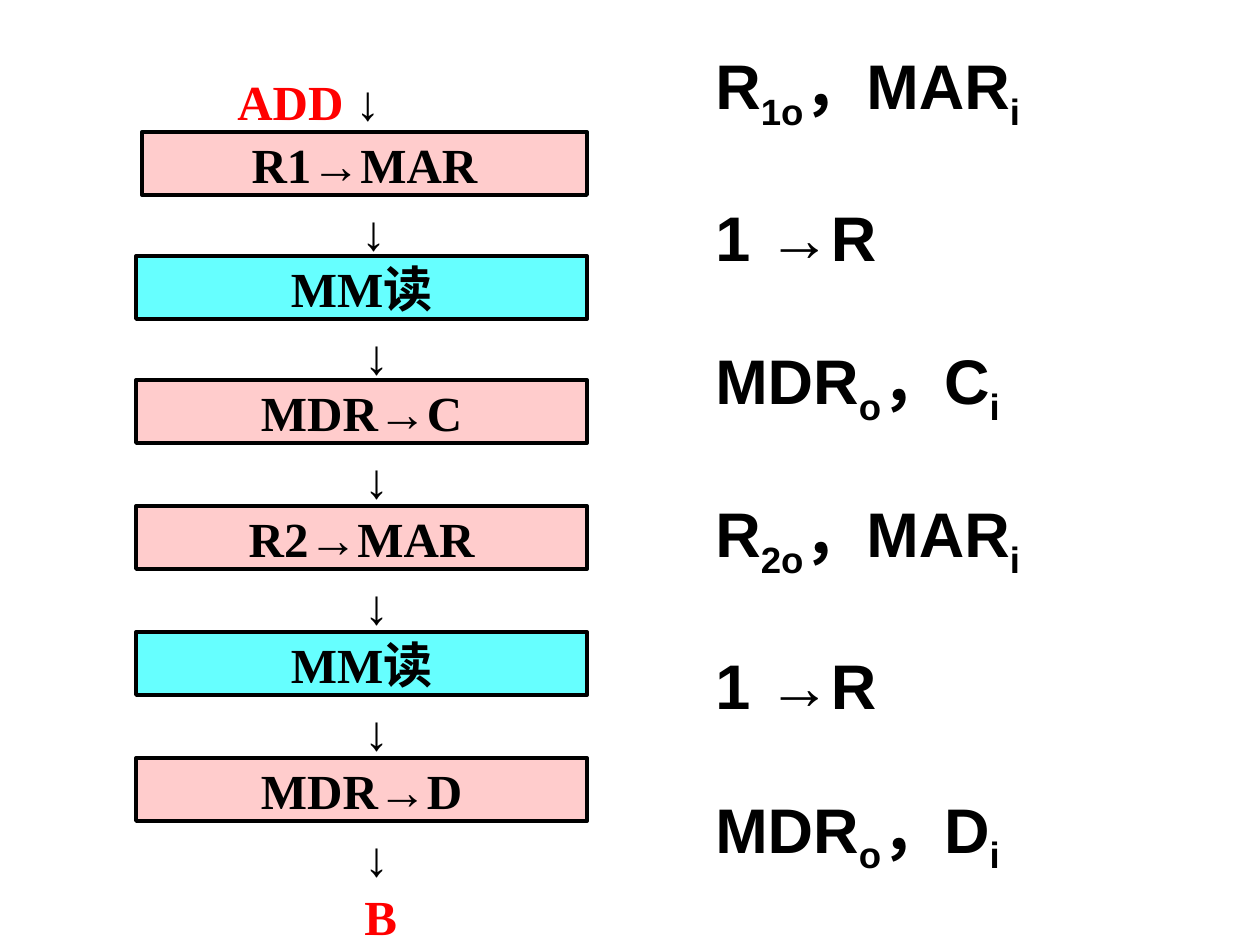
from dataclasses import dataclass
from itertools import groupby

from pptx import Presentation
from pptx.dml.color import RGBColor as RGB
from pptx.enum.shapes import MSO_SHAPE as SHAPE
from pptx.enum.text import MSO_ANCHOR as ANCHOR, PP_ALIGN as ALIGN
from pptx.util import Emu, Pt

PX = 914400 // 126


@dataclass(frozen=True)
class Theme:
    """Colours, fonts and type sizes of the slide."""
    ink: RGB = RGB(0, 0, 0)
    accent: RGB = RGB(0xFF, 0, 0)
    move: RGB = RGB(0xFF, 0xCC, 0xCC)
    read: RGB = RGB(0x66, 0xFF, 0xFF)
    serif: str = "Times New Roman"
    sans: str = "Arial"
    flow_size: int = 28
    signal_size: int = 36


T = Theme()

STEPS = [
    ("R1→MAR", T.move, 132, 6),
    ("MM读", T.read, 256, 0),
    ("MDR→C", T.move, 380, 0),
    ("R2→MAR", T.move, 506, 0),
    ("MM读", T.read, 632, 0),
    ("MDR→D", T.move, 758, 0),
]
SIGNALS = [
    ("R_1o_，MAR_i", 0),
    ("1 →R", 68),
    ("MDR_o_，C_i", 80),
    ("R_2o_，MAR_i", 80),
    ("1 →R", 68),
    ("MDR_o_，D_i", 80),
]


def px(*lengths):
    """Turn px lengths into EMU."""
    return [Emu(n * PX) for n in lengths]


def add_run(p, text, font, size, color=T.ink):
    """Append a bold run and return it."""
    r = p.add_run()
    r.text = text
    r.font.name, r.font.size, r.font.bold = font, Pt(size), True
    r.font.color.rgb = color
    return r


def add_flow_text(p, text, color=T.ink):
    """Write flow text, with its arrows in black sans."""
    for is_arrow, chars in groupby(text, lambda c: c in "→↓"):
        font, fill = (T.sans, T.ink) if is_arrow else (T.serif, color)
        add_run(p, "".join(chars), font, T.flow_size, fill)


def add_text_box(s, x, y, w, h, wrap=False, anchor=ANCHOR.TOP):
    """Add an empty text box and return its text frame."""
    tf = s.shapes.add_textbox(*px(x, y, w, h)).text_frame
    tf.word_wrap = wrap
    tf.vertical_anchor = anchor
    return tf


def add_step(s, text, fill, x, y, w, h):
    """Add one process box of the flow."""
    sp = s.shapes.add_shape(SHAPE.FLOWCHART_PROCESS, *px(x, y, w, h))
    sp.shadow.inherit = False
    sp.fill.solid()
    sp.fill.fore_color.rgb = fill
    sp.line.color.rgb = T.ink
    sp.line.width = Pt(2.25)
    tf = sp.text_frame
    tf.word_wrap = False
    tf.vertical_anchor = ANCHOR.MIDDLE
    tf.paragraphs[0].alignment = ALIGN.CENTER
    add_flow_text(tf.paragraphs[0], text)


def add_flow(s, x, y, w, h):
    """Draw the instruction flow from its entry to its exit."""
    tf = add_text_box(s, x - 20, y, 388, h, True, ANCHOR.MIDDLE)
    pPr = tf.paragraphs[0]._p.get_or_add_pPr()
    pPr.set("indent", str(109 * PX))
    add_flow_text(tf.paragraphs[0], "ADD ↓", T.accent)
    for i, (text, fill, top, inset) in enumerate(STEPS):
        add_step(s, text, fill, x + inset, top, w - inset, h)
        arrow_x = x + 216 - inset // 2
        tf = add_text_box(s, arrow_x, top + h, 44, 72)
        add_flow_text(tf.paragraphs[0], "↓")
    add_flow_text(tf.add_paragraph(), "B", T.accent)


def add_signals(s, x, y, w, h):
    """List the control signals, with subscripts between underscores."""
    tf = add_text_box(s, x, y, w, h, True, ANCHOR.MIDDLE)
    for i, (text, gap) in enumerate(SIGNALS):
        p = tf.add_paragraph() if i else tf.paragraphs[0]
        p.line_spacing = Pt(42)
        p.space_before = Emu(gap * PX)
        for k, part in enumerate(text.split("_")):
            r = add_run(p, part, T.sans, T.signal_size)
            if k % 2:
                r._r.get_or_add_rPr().set("baseline", "-25000")


def main():
    """Build and save the slide."""
    prs = Presentation()
    prs.slide_width, prs.slide_height = px(1260, 945)
    s = prs.slides.add_slide(prs.slide_layouts[6])
    add_signals(s, 703, 116, 431, 703)
    add_flow(s, 136, 69, 451, 63)
    prs.save("out.pptx")


if __name__ == "__main__":
    main()
